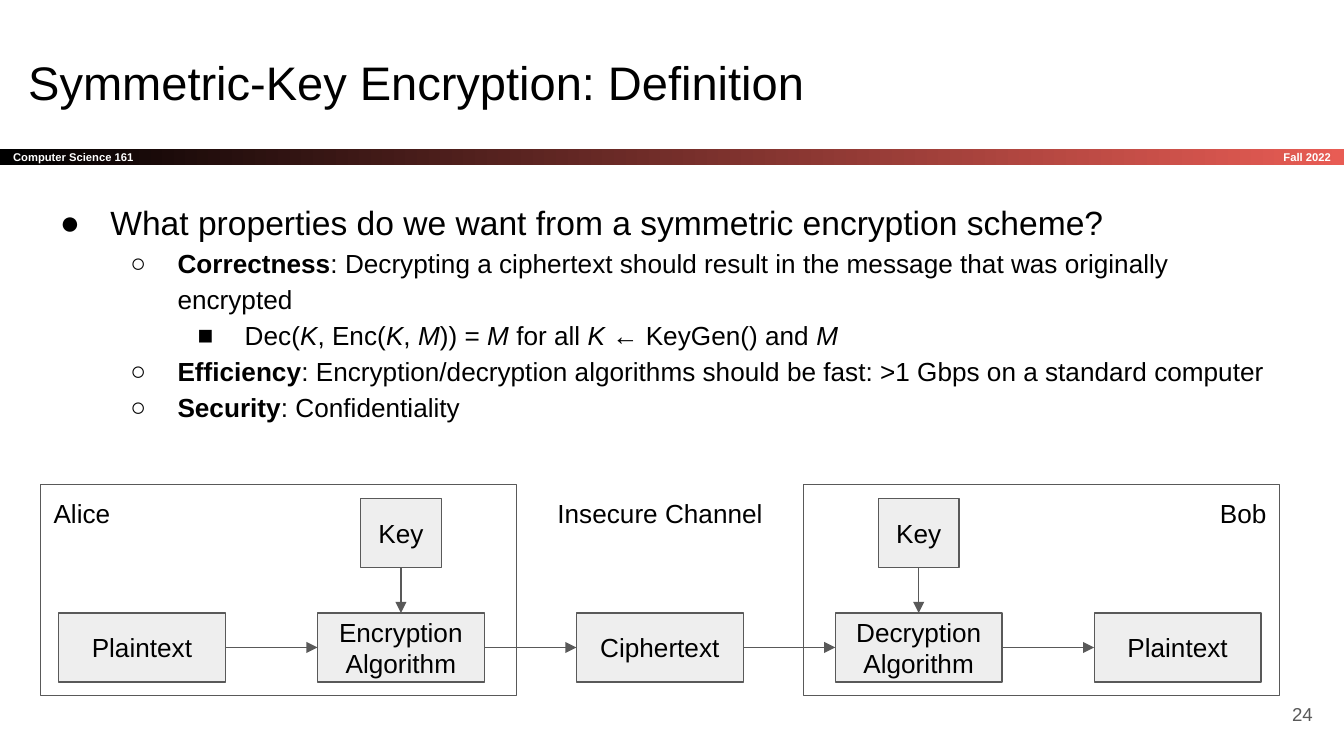
from itertools import pairwise

from pptx import Presentation
from pptx.dml.color import RGBColor
from pptx.enum.shapes import MSO_CONNECTOR, MSO_SHAPE
from pptx.enum.text import MSO_ANCHOR, MSO_AUTO_SIZE, PP_ALIGN
from pptx.oxml.ns import qn
from pptx.util import Pt

LEFT, CENTER, RIGHT = PP_ALIGN.LEFT, PP_ALIGN.CENTER, PP_ALIGN.RIGHT
TOP, MIDDLE = MSO_ANCHOR.TOP, MSO_ANCHOR.MIDDLE
RECT, STRAIGHT = MSO_SHAPE.RECTANGLE, MSO_CONNECTOR.STRAIGHT
ABOVE, BEFORE, BELOW, AFTER = range(4)  # connection sites of a rectangle

BLACK, WHITE, GRAY, PALE, RED = "000000", "FFFFFF", "595959", "EEEEEE", "E85C54"

TITLE = "Symmetric-Key Encryption: Definition"
# Level, emphasis, text: the parts between bars carry the emphasis
POINTS = [
    (0, "bold", "What properties do we want from a symmetric encryption scheme?"),
    (1, "bold", "|Correctness|: Decrypting a ciphertext should result in the "
                "message that was originally encrypted"),
    (2, "italic", "Dec(|K|, Enc(|K|, |M|)) = |M| for all |K| ← KeyGen() and |M|"),
    (1, "bold", "|Efficiency|: Encryption/decryption algorithms should be fast: "
                ">1 Gbps on a standard computer"),
    (1, "bold", "|Security|: Confidentiality"),
]
# Bullet, size, left margin, hanging indent for each level
LEVELS = [("●", 18, 36, 27), ("○", 14, 72, 25.2), ("■", 14, 108, 25.2)]

STEPS = ["Plaintext", "Encryption Algorithm", "Ciphertext",
         "Decryption Algorithm", "Plaintext"]
KEYED = (1, 3)  # steps that take a key

WIDE, HIGH = 720, 405
BAR_Y, BAR_H = 80, 8.6
ZONE_X, ZONE_Y, ZONE_W, ZONE_H = 21.6, 259.5, 255, 113
GAP_W = 154
STEP_X, STEP_Y, STEP_W, STEP_H, PITCH = 31.4, 328.4, 89.4, 37, 138.7
KEY_Y, KEY_W = 267, 43.2


def hue(code):
    return RGBColor.from_string(code)


def style(font, **look):
    look = {"name": "Arial", "size": 14, "color": BLACK, **look}
    font.color.rgb = hue(look.pop("color"))
    look["size"] = Pt(look["size"])
    for name, value in look.items():
        setattr(font, name, value)


def frame(shape, anchor):
    """Set wrapping, anchor and equal insets; return the text frame."""
    text = shape.text_frame
    values = {"word_wrap": True, "auto_size": MSO_AUTO_SIZE.NONE,
              "vertical_anchor": anchor}
    values.update({f"margin_{side}": Pt(7.2)
                   for side in ("left", "top", "right", "bottom")})
    for name, value in values.items():
        setattr(text, name, value)
    return text


def write(shape, words, align=LEFT, anchor=MIDDLE, **look):
    par = frame(shape, anchor).paragraphs[0]
    par.text = words
    par.alignment = align
    style(par.font, **look)


def place(shape, *spot):
    for name, value in zip(("left", "top", "width", "height"), spot):
        setattr(shape, name, Pt(value))


def label(words, *spot, **look):
    write(slide.shapes.add_textbox(*map(Pt, spot)), words, **look)


def box(*spot, fill=None):
    shape = slide.shapes.add_shape(RECT, *map(Pt, spot))
    shape.shadow.inherit = False
    if fill:
        shape.fill.solid()
        shape.fill.fore_color.rgb = hue(fill)
    else:
        shape.fill.background()
    shape.line.color.rgb = hue(GRAY)
    shape.line.width = Pt(0.75)
    return shape


def node(words, *spot):
    shape = box(*spot, fill=PALE)
    write(shape, words, align=CENTER)
    return shape


def arrow(start, out, end, into):
    link = slide.shapes.add_connector(STRAIGHT, 0, 0, 0, 0)
    link.begin_connect(start, out)
    link.end_connect(end, into)
    link.line.color.rgb = hue(GRAY)
    link.line.width = Pt(0.75)
    tip = link.line._get_or_add_ln().makeelement(qn("a:tailEnd"), {"type": "triangle"})
    link.line._get_or_add_ln().append(tip)
    props = link._element.spPr
    props.append(props.makeelement(qn("a:effectLst"), {}))


def bullet(par, level):
    mark, size, margin, hang = LEVELS[level]
    par.level = level
    par.line_spacing = 1.15
    par.space_before = Pt(0)
    props = par._p.get_or_add_pPr()
    props.set("marL", str(Pt(margin)))
    props.set("indent", str(-Pt(hang)))
    for tag, key, value in (("a:buFont", "typeface", "Arial"),
                            ("a:buChar", "char", mark)):
        props.append(props.makeelement(qn(tag), {key: value}))
    style(par.font, size=size)
    return size


deck = Presentation()
deck.slide_width, deck.slide_height = Pt(WIDE), Pt(HIGH)
slide = deck.slides.add_slide(deck.slide_layouts[1])
title, body = slide.placeholders

# Heading and bar
place(title, 7.9, 21.6, 671, 45.4)
write(title, TITLE, anchor=TOP, size=25.2)

bar = box(0, BAR_Y, WIDE, BAR_H)
bar.line.fill.background()
bar.fill.gradient()
bar.fill.gradient_angle = 0
for stop, code, spot in zip(bar.fill.gradient_stops, (BLACK, RED), (0, 1)):
    stop.color.rgb = hue(code)
    stop.position = spot
small = {"size": 6, "color": WHITE, "bold": True}
write(bar, "Computer Science 161", **small)
label("Fall 2022", 600, BAR_Y, 120, BAR_H, align=RIGHT, **small)
label("24", 667.2, 367.2, 43.2, 31, align=RIGHT, size=10, color=GRAY)

# Bulleted list
place(body, 15.9, 98, 671, 296.6)
text = frame(body, TOP)
for i, (level, mood, words) in enumerate(POINTS):
    par = text.add_paragraph() if i else text.paragraphs[0]
    size = bullet(par, level)
    for j, part in enumerate(words.split("|")):
        if part:
            run = par.add_run()
            run.text = part
            style(run.font, size=size, **{mood: j % 2 == 1})

# Diagram: two parties with a channel between them
far = ZONE_X + ZONE_W + GAP_W
for x in (ZONE_X, far):
    box(x, ZONE_Y, ZONE_W, ZONE_H)
for words, x, width, align in (("Alice", ZONE_X, ZONE_W / 4, LEFT),
                               ("Insecure Channel", ZONE_X + ZONE_W, GAP_W, CENTER),
                               ("Bob", far + ZONE_W * 3 / 4, ZONE_W / 4, RIGHT)):
    label(words, x, ZONE_Y, width, 31.5, align=align, anchor=TOP)

steps = [node(words, STEP_X + i * PITCH, STEP_Y, STEP_W, STEP_H)
         for i, words in enumerate(STEPS)]
for start, end in pairwise(steps):
    arrow(start, AFTER, end, BEFORE)
for i in KEYED:
    x = STEP_X + i * PITCH + (STEP_W - KEY_W) / 2
    key = node("Key", x, KEY_Y, KEY_W, STEP_H)
    arrow(key, BELOW, steps[i], ABOVE)

deck.save("out.pptx")
